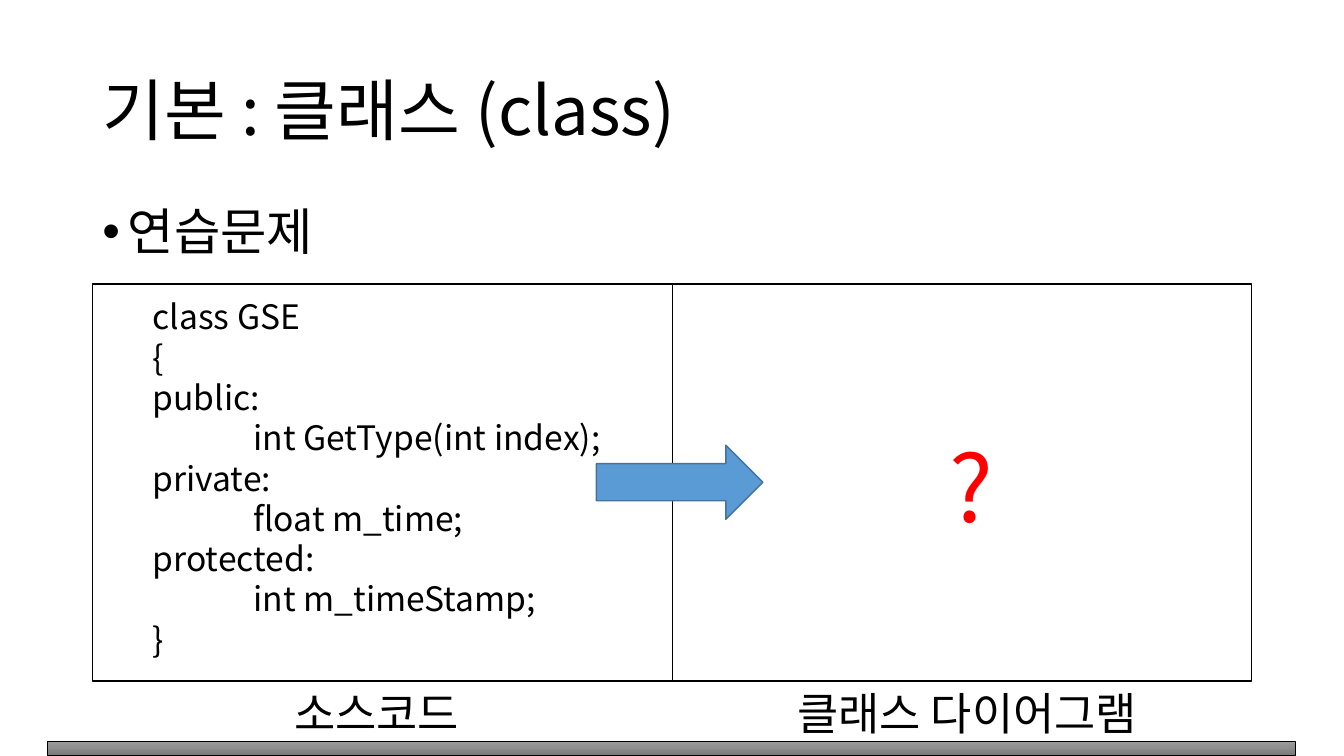
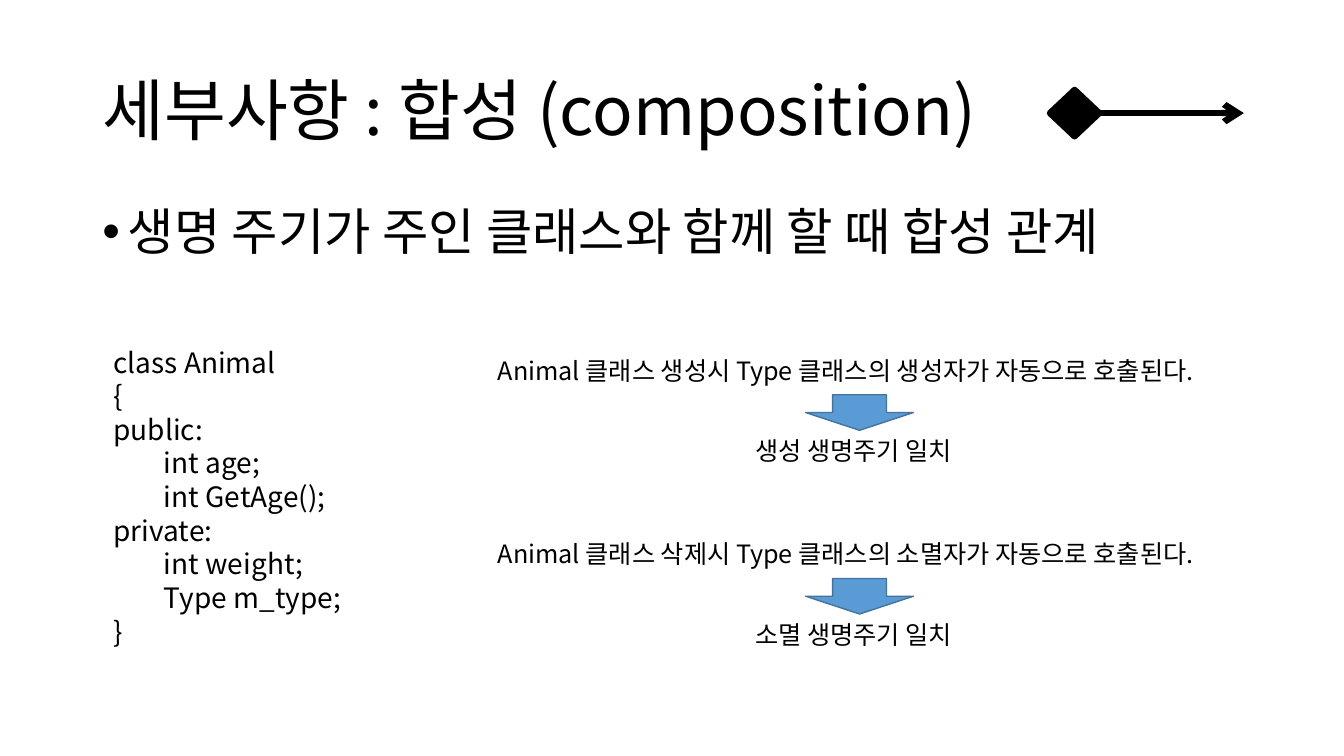
"""Build two slides on class diagrams: a class exercise and the composition relation."""
from dataclasses import dataclass

from lxml.etree import SubElement
from pptx import Presentation
from pptx.dml.color import RGBColor
from pptx.enum.shapes import MSO_CONNECTOR, MSO_SHAPE
from pptx.enum.text import MSO_ANCHOR, MSO_AUTO_SIZE, PP_ALIGN
from pptx.oxml.ns import qn
from pptx.util import Pt


@dataclass(frozen=True)
class Theme:
    font: str = "Noto Sans CJK KR"
    ink: RGBColor = RGBColor(0, 0, 0)
    paper: RGBColor = RGBColor(255, 255, 255)
    accent: RGBColor = RGBColor(0x5B, 0x9B, 0xD5)
    accent_edge: RGBColor = RGBColor(0x43, 0x73, 0x9E)
    alert: RGBColor = RGBColor(255, 0, 0)
    band_top: RGBColor = RGBColor(0x9D, 0x9D, 0x9D)
    band_bottom: RGBColor = RGBColor(0x7C, 0x7C, 0x7C)
    title: int = 48
    bullet: int = 36
    caption: int = 32
    code: int = 24
    small_code: int = 20
    note: int = 18
    question: int = 66
    line_pitch: float = 1.2
    placeholder_spacing: float = 0.9


THEME = Theme()
LEFT, WIDTH = 66, 828

EXERCISE_CODE = [
    (0, "class GSE"),
    (0, "{"),
    (0, "public:"),
    (1, "int GetType(int index);"),
    (0, "private:"),
    (1, "float m_time;"),
    (0, "protected:"),
    (1, "int m_timeStamp;"),
    (0, "}"),
]
ANIMAL_CODE = [
    (0, "class Animal"),
    (0, "{"),
    (0, "public:"),
    (1, "int age;"),
    (1, "int GetAge();"),
    (0, "private:"),
    (1, "int weight;"),
    (1, "Type m_type;"),
    (0, "}"),
]
LIFECYCLES = [
    ("Animal 클래스 생성시 Type 클래스의 생성자가 자동으로 호출된다.", "생성 생명주기 일치"),
    ("Animal 클래스 삭제시 Type 클래스의 소멸자가 자동으로 호출된다.", "소멸 생명주기 일치"),
]


def style_paragraph(paragraph, size, color=THEME.ink, align=PP_ALIGN.LEFT):
    paragraph.alignment = align
    for run in paragraph.runs:
        run.font.size = Pt(size)
        run.font.name = THEME.font
        run.font.color.rgb = color
        SubElement(run.font._element, qn("a:ea")).set("typeface", THEME.font)


def set_indent(paragraph, margin, first_line=0):
    properties = paragraph._p.get_or_add_pPr()
    properties.set("marL", str(Pt(margin)))
    properties.set("indent", str(Pt(first_line)))
    return properties


def place(shape, left, top, width, height):
    shape.left, shape.top = Pt(left), Pt(top)
    shape.width, shape.height = Pt(width), Pt(height)


def fill_placeholder(placeholder, text, size, box, anchor):
    place(placeholder, *box)
    frame = placeholder.text_frame
    frame.text = text
    frame.auto_size = MSO_AUTO_SIZE.NONE
    frame.vertical_anchor = anchor
    paragraph = frame.paragraphs[0]
    paragraph.line_spacing = THEME.placeholder_spacing
    paragraph.space_before = Pt(0)
    style_paragraph(paragraph, size)
    return paragraph


def add_topic_slide(deck, heading, point):
    slide = deck.slides.add_slide(deck.slide_layouts[1])
    fill_placeholder(slide.shapes.title, heading, THEME.title,
                     (LEFT, 28.8, WIDTH, 104.4), MSO_ANCHOR.MIDDLE)
    bullet = fill_placeholder(slide.placeholders[1], point, THEME.bullet,
                              (LEFT, 144, WIDTH, 342.6), MSO_ANCHOR.TOP)
    properties = set_indent(bullet, 18, -18)
    SubElement(properties, qn("a:buFont")).set("typeface", "Arial")
    SubElement(properties, qn("a:buChar")).set("char", "•")
    return slide


def add_lines(slide, lines, size, box, base=0, step=0, **look):
    frame = slide.shapes.add_textbox(*map(Pt, box)).text_frame
    frame.word_wrap = True
    frame.text = "\n".join(text for _, text in lines)
    for paragraph, (depth, _) in zip(frame.paragraphs, lines):
        paragraph.line_spacing = Pt(size * THEME.line_pitch)
        set_indent(paragraph, base + depth * step)
        style_paragraph(paragraph, size, **look)


def add_label(slide, text, size, box, **look):
    add_lines(slide, [(0, text)], size, box, **look)


def add_figure(shapes, preset, box, fill, edge, weight=1):
    figure = shapes.add_shape(preset, *map(Pt, box))
    figure.shadow.inherit = False
    figure.fill.solid()
    figure.fill.fore_color.rgb = fill
    figure.line.color.rgb = edge
    figure.line.width = Pt(weight)
    return figure


def add_line(shapes, start, end, weight, arrow=False):
    line = shapes.add_connector(MSO_CONNECTOR.STRAIGHT, *map(Pt, start + end))
    line.line.color.rgb = THEME.ink
    line.line.width = Pt(weight)
    if arrow:
        SubElement(line.line._get_or_add_ln(), qn("a:tailEnd")).set("type", "arrow")
    SubElement(line._element.spPr, qn("a:effectLst"))


def add_band(slide):
    band = add_figure(slide.shapes, MSO_SHAPE.RECTANGLE, (34, 529.4, 891, 10),
                      THEME.band_top, THEME.ink, 0.5)
    band.fill.gradient()
    band.fill.gradient_angle = 270
    colors = (THEME.band_top, THEME.band_bottom)
    for position, (stop, color) in enumerate(zip(band.fill.gradient_stops, colors)):
        stop.position = position
        stop.color.rgb = color


def add_composition_symbol(slide):
    symbol = slide.shapes.add_group_shape().shapes
    add_line(symbol, (784, 80.8), (888.5, 80.8), 4.5, arrow=True)
    add_figure(symbol, MSO_SHAPE.DIAMOND, (750, 64.2, 35.2, 33.2),
               THEME.ink, THEME.ink, 4.5)


def build_exercise(deck):
    slide = add_topic_slide(deck, "기본 : 클래스 (class)", "연습문제")
    top, height = 203, 283.6
    middle, bottom = LEFT + WIDTH / 2, top + height
    add_figure(slide.shapes, MSO_SHAPE.RECTANGLE, (LEFT, top, WIDTH, height),
               THEME.paper, THEME.ink)
    add_line(slide.shapes, (middle, top), (middle, bottom), 0.5)
    for left, caption in ((123, "소스코드"), (545, "클래스 다이어그램")):
        add_label(slide, caption, THEME.caption, (left, bottom, 292, 46),
                  align=PP_ALIGN.CENTER)
    add_band(slide)
    add_lines(slide, EXERCISE_CODE, THEME.code, (LEFT, 208, WIDTH / 2, 269),
              base=36, step=72)
    add_figure(slide.shapes, MSO_SHAPE.RIGHT_ARROW, (426, 318, 119, 53),
               THEME.accent, THEME.accent_edge)
    add_label(slide, "?", THEME.question, (665, 304, 58, 87),
              color=THEME.alert, align=PP_ALIGN.CENTER)


def build_composition(deck):
    slide = add_topic_slide(deck, "세부사항 : 합성 (composition)",
                            "생명 주기가 주인 클래스와 함께 할 때 합성 관계")
    add_composition_symbol(slide)
    add_lines(slide, ANIMAL_CODE, THEME.small_code, (74, 243, 196, 225), step=36)
    for row, (event, result) in enumerate(LIFECYCLES):
        top = 250 + row * 131.2
        add_label(slide, event, THEME.note, (348.5, top, 554, 29))
        add_figure(slide.shapes, MSO_SHAPE.DOWN_ARROW, (575.5, top + 32, 77, 25.4),
                   THEME.accent, THEME.accent_edge)
        add_label(slide, result, THEME.note, (532.5, top + 57.6, 175, 29))


def main():
    deck = Presentation()
    deck.slide_width, deck.slide_height = Pt(960), Pt(540)
    build_exercise(deck)
    build_composition(deck)
    deck.save("out.pptx")


if __name__ == "__main__":
    main()
